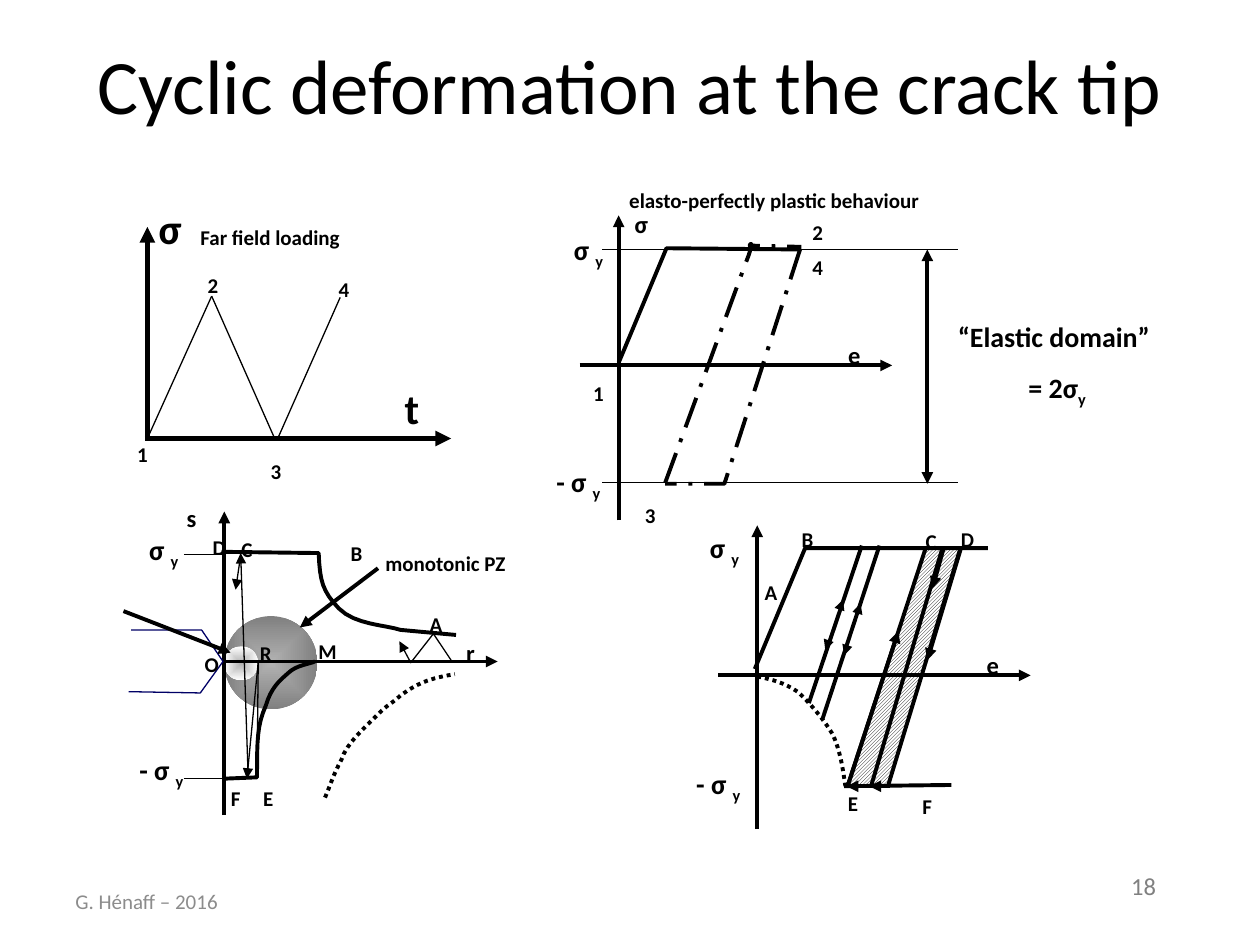
from dataclasses import dataclass
from typing import Any, NamedTuple

from lxml.etree import SubElement
from pptx import Presentation
from pptx.dml.color import RGBColor
from pptx.enum.dml import MSO_LINE, MSO_PATTERN
from pptx.enum.shapes import MSO_CONNECTOR, MSO_SHAPE
from pptx.enum.text import MSO_ANCHOR, MSO_AUTO_SIZE, PP_ALIGN
from pptx.oxml.ns import qn
from pptx.util import Inches, Pt

Point = tuple[float, float]


@dataclass(frozen=True)
class Theme:
    font: str = "Calibri"
    black: str = "000000"
    white: str = "FFFFFF"
    navy: str = "000066"
    pale: str = "B2B2B2"
    gray: str = "808080"
    foot: str = "8C8C8C"
    title: int = 44
    big: int = 24
    mid: int = 16
    axis: int = 14
    small: int = 12
    hair: float = 0.25
    thin: float = 0.75
    bold: float = 2.25
    heavy: float = 3


T = Theme()


class Label(NamedTuple):
    """Text with its box; an underscore starts a subscript."""
    text: str
    left: float
    top: float
    width: float
    size: int = T.small
    height: float = 0
    color: str = T.black
    bold: bool = True
    align: Any = PP_ALIGN.CENTER
    wrap: bool = False


class Stroke(NamedTuple):
    points: list[Point]
    width: float = T.bold
    ends: str = ""
    dash: Any = None
    color: str = T.black


class Disc(NamedTuple):
    left: float
    top: float
    size: float
    inner: str
    outer: str


def apply(target: Any, values: dict[str, Any]) -> None:
    for name, value in values.items():
        setattr(target, name, value)


def rgb(code: str) -> RGBColor:
    return RGBColor.from_string(code)


def bend(start: Point, *curves: tuple[float, ...]) -> list[Point]:
    """Points along a chain of cubic Bezier curves."""
    points, steps = [start], 8
    for ax, ay, bx, by, cx, cy in curves:
        x, y = points[-1]
        for step in range(1, steps + 1):
            t = step / steps
            u = 1 - t
            w = (u**3, 3 * u * u * t, 3 * u * t * t, t**3)
            points.append((w[0] * x + w[1] * ax + w[2] * bx + w[3] * cx,
                           w[0] * y + w[1] * ay + w[2] * by + w[3] * cy))
    return points


def outline(shapes: Any, points: list[Point], close: bool = False) -> Any:
    emu = [(Inches(x), Inches(y)) for x, y in points]
    build = shapes.build_freeform(*emu[0])
    build.add_line_segments(emu[1:], close=close)
    shape = build.convert_to_shape()
    shape.shadow.inherit = False
    return shape


def draw(shapes: Any, item: Stroke) -> None:
    if len(item.points) == 2:
        (ax, ay), (bx, by) = item.points
        shape = shapes.add_connector(MSO_CONNECTOR.STRAIGHT, Inches(ax), Inches(ay),
                                     Inches(bx), Inches(by))
        SubElement(shape._element.spPr, qn("a:effectLst"))
    else:
        shape = outline(shapes, item.points)
        shape.fill.background()
    line = shape.line
    line.color.rgb = rgb(item.color)
    apply(line, {"width": Pt(item.width), "dash_style": item.dash})
    for mark, tag in (("<", "a:headEnd"), (">", "a:tailEnd")):
        if mark in item.ends:
            SubElement(line._get_or_add_ln(), qn(tag), type="triangle")


def write(shapes: Any, item: Label) -> None:
    height = item.height or item.size * 1.22 / 72 + 0.1
    box = shapes.add_textbox(Inches(item.left), Inches(item.top),
                             Inches(item.width), Inches(height))
    frame = box.text_frame
    apply(frame, {"word_wrap": item.wrap, "vertical_anchor": MSO_ANCHOR.MIDDLE,
                  "auto_size": MSO_AUTO_SIZE.NONE})
    for row, text in enumerate(item.text.split("\n")):
        para = frame.add_paragraph() if row else frame.paragraphs[0]
        para.alignment = item.align
        if row:
            para.space_before = Pt(10)
        for sub, part in enumerate(text.split("_")):
            run = para.add_run()
            run.text = part
            apply(run.font, {"name": T.font, "size": Pt(item.size), "bold": item.bold})
            run.font.color.rgb = rgb(item.color)
            if sub:
                run._r.get_or_add_rPr().set("baseline", "-25000")


def shade(shapes: Any, item: Disc) -> None:
    size = Inches(item.size)
    shape = shapes.add_shape(MSO_SHAPE.OVAL, Inches(item.left), Inches(item.top), size, size)
    shape.shadow.inherit = False
    shape.line.fill.background()
    shape.fill.gradient()
    for stop, code in zip(shape.fill.gradient_stops, (item.inner, item.outer)):
        stop.color.rgb = rgb(code)
    grad = shape._element.spPr.find(qn("a:gradFill"))
    grad.remove(grad.find(qn("a:lin")))
    path = SubElement(grad, qn("a:path"), path="shape")
    SubElement(path, qn("a:fillToRect"), l="50000", t="50000", r="50000", b="50000")


def hatch(shapes: Any, points: list[Point]) -> None:
    shape = outline(shapes, points, close=True)
    shape.line.fill.background()
    shape.fill.patterned()
    shape.fill.pattern = MSO_PATTERN.LIGHT_UPWARD_DIAGONAL
    shape.fill.fore_color.rgb = rgb(T.black)
    shape.fill.back_color.rgb = rgb(T.white)


def axes(x: float, low: float, high: float, y: float, left: float, right: float,
         width: float = T.bold) -> list[Stroke]:
    return [Stroke([(x, low), (x, high)], width, ">"),
            Stroke([(left, y), (right, y)], width, ">")]


def letters(*spots: tuple[str, float, float]) -> list[Label]:
    return [Label(text, left, top, 0.3) for text, left, top in spots]


def limits(left: float, top: float, low_left: float, low_top: float) -> list[Label]:
    """The two yield stress marks of a panel."""
    return [Label("σ _y", left, top, 0.46, T.mid),
            Label("- σ _y", low_left, low_top, 0.58, T.mid)]


DOT, CHAIN = MSO_LINE.ROUND_DOT, MSO_LINE.LONG_DASH_DOT

FRAME = [
    Label("18", 8.88, 6.86, 0.53, T.axis, 0.34, T.gray, False, PP_ALIGN.LEFT),
    Label("Cyclic deformation at the crack tip", 0.5, 0.04, 9, T.title, 1.25, bold=False, wrap=True),
    Label("G. Hénaff – 2016", 0.5, 6.95, 2.33, T.small, 0.4, T.foot, False, PP_ALIGN.LEFT, True),
]
LOADING = [
    *[Stroke([a, b], T.thin) for a, b in (((1.17, 3.48), (1.68, 2.35)),
      ((2.18, 3.48), (1.68, 2.35)), ((2.2, 3.49), (2.7, 2.36)))],
    *axes(1.17, 3.48, 1.8, 3.48, 1.15, 3.58, T.heavy),
    *letters(("1", 0.98, 3.45), ("2", 1.54, 2.11), ("3", 2.04, 3.59), ("4", 2.58, 2.14)),
    Label("t", 3.11, 2.98, 0.32, T.big), Label("σ", 1.15, 1.55, 0.4, T.big),
    Label("Far field loading", 1.48, 1.73, 1.33),
]
LAW = [
    Stroke([(4.91, 2.88), (5.29, 1.97), (6.35, 1.98)]),
    Stroke([(6.35, 1.98), (5.75, 3.84), (5.28, 3.84)], dash=CHAIN),
    Stroke([(5.28, 3.83), *bend((5.91, 2.11), (6.02, 1.84, 5.92, 1.97, 5.96, 1.95)),
            (6.36, 1.96)], dash=CHAIN),
    *[Stroke([(4.78, y), (x, y)], T.thin) for y in (1.98, 3.83) for x in (5.59, 7.6)],
    Stroke([(7.36, 1.98), (7.36, 3.84)], ends="<>"),
    *axes(4.91, 4.13, 1.71, 2.9, 4.6, 7.08),
    *letters(("1", 4.6, 2.97), ("2", 6.34, 1.69), ("3", 5.01, 3.94), ("4", 6.34, 1.97)),
    *limits(4.44, 1.81, 4.3, 3.65),
    Label("σ", 4.93, 1.61, 0.32, T.axis), Label("e", 6.63, 2.65, 0.3, T.axis),
    Label("“Elastic domain”\n = 2σ_y", 7.25, 2.5, 2.23, T.mid, 0.78, wrap=True),
    Label("elasto-perfectly plastic behaviour", 4.85, 1.44, 2.59),
]
ZONES = [Disc(1.78, 4.89, 0.74, T.pale, T.gray), Disc(1.78, 5.13, 0.27, T.pale, T.white)]
FIELD = [
    *axes(1.78, 6.47, 4.06, 5.25, 1.76, 3.95),
    Stroke([(1.04, 5), (1.6, 5), (1.77, 5.25), (1.59, 5.5), (1.02, 5.49)], T.thin, color=T.navy),
    Stroke([(2.04, 6.18), (2.05, 5.24)], T.thin),
    *[Stroke(points, T.thin, ">") for points in (
        [(1.97, 6.17), (1.91, 4.39)], [(1.91, 4.41), (1.87, 4.68)], [(2.05, 5.25), (1.96, 6.18)],
        [(3.58, 5.24), (3.44, 5.03), (3.26, 5.26), (3.17, 5.09)])],
    Stroke([(1.76, 4.38), *bend((2.53, 4.39), (2.54, 4.62, 2.56, 4.69, 2.69, 4.83),
            (2.82, 4.96, 3.06, 4.96, 3.18, 5)), (3.62, 5.04)]),
    Stroke(bend((2.58, 6.33), (2.62, 6.24, 2.64, 6.16, 2.71, 6.03),
                (2.75, 5.9, 2.9, 5.77, 3, 5.67), (3.09, 5.58, 3.09, 5.6, 3.18, 5.52),
                (3.34, 5.4, 3.45, 5.38, 3.61, 5.35)), dash=DOT),
    Stroke([(1.79, 6.18), *bend((2.04, 6.17), (2.04, 5.87, 2.04, 5.76, 2.11, 5.6),
            (2.15, 5.46, 2.22, 5.4, 2.29, 5.34), (2.35, 5.28, 2.46, 5.27, 2.5, 5.25))]),
    *[Stroke([(1.46, y), (1.78, y)], T.hair) for y in (4.4, 6.18)],
    Stroke([(3, 4.51), (2.38, 4.98)], ends=">"), Stroke([(0.98, 4.85), (1.83, 5.18)], ends=">"),
    *letters(("M", 2.45, 5.02), ("B", 2.68, 4.24), ("E", 1.98, 6.18), ("F", 1.72, 6.18),
             ("R", 1.96, 5.03), ("A", 3.31, 4.8), ("O", 1.53, 5.12), ("C", 1.81, 4.21),
             ("D", 1.59, 4.19)),
    *limits(1.07, 4.19, 0.99, 5.94),
    Label("s", 1.38, 3.94, 0.28, T.axis), Label("r", 3.6, 5.01, 0.27, T.axis),
    Label("monotonic PZ", 2.95, 4.32, 1.17),
]
BAND = [(6.72, 6.23), (7.35, 4.35), (7.63, 4.35), (7.05, 6.24)]
LOOPS = [
    *axes(6.01, 6.58, 4.17, 5.36, 5.7, 8.18),
    Stroke([(5.99, 5.31), (6.39, 4.35), (7.84, 4.35)]),
    Stroke(bend((6.01, 5.37), (6.12, 5.39, 6.23, 5.42, 6.33, 5.49),
                (6.42, 5.57, 6.54, 5.71, 6.61, 5.83), (6.67, 5.96, 6.69, 6.1, 6.71, 6.24)), dash=DOT),
    *[Stroke([a, b]) for a, b in (
        ((6.7, 6.24), (7.55, 6.23)), ((7.62, 4.36), (7.05, 6.23)), ((7.48, 4.35), (6.91, 6.25)),
        ((6.73, 6.23), (7.35, 4.34)), ((6.53, 5.7), (6.98, 4.33)), ((6.42, 5.58), (6.84, 4.33)))],
    *[Stroke([a, b], ends=">") for a, b in (
        ((7.63, 4.34), (7.36, 5.24)), ((6.73, 6.23), (7.13, 5.01)), ((7.49, 4.35), (7.4, 4.67)),
        ((7.06, 6.24), (6.9, 6.24)), ((6.91, 6.24), (6.72, 6.24)))],
    *[Stroke([a, b], T.thin, "<>") for a, b in (((6.55, 5.16), (6.69, 4.76)), ((6.7, 5.2), (6.83, 4.79)))],
    *letters(("C", 7.24, 4.14), ("D", 7.53, 4.13), ("F", 7.21, 6.25), ("E", 6.62, 6.22),
             ("B", 6.26, 4.13), ("A", 5.97, 4.55)),
    *limits(5.52, 4.18, 5.41, 6.05),
    Label("e", 7.73, 5.11, 0.3, T.axis),
]


def main() -> None:
    deck = Presentation()
    apply(deck, {"slide_width": Inches(10), "slide_height": Inches(7.5)})
    shapes = deck.slides.add_slide(deck.slide_layouts[6]).shapes
    for disc in ZONES:
        shade(shapes, disc)
    hatch(shapes, BAND)
    for item in FRAME + LOADING + LAW + FIELD + LOOPS:
        (write if isinstance(item, Label) else draw)(shapes, item)
    deck.save("out.pptx")


if __name__ == "__main__":
    main()
